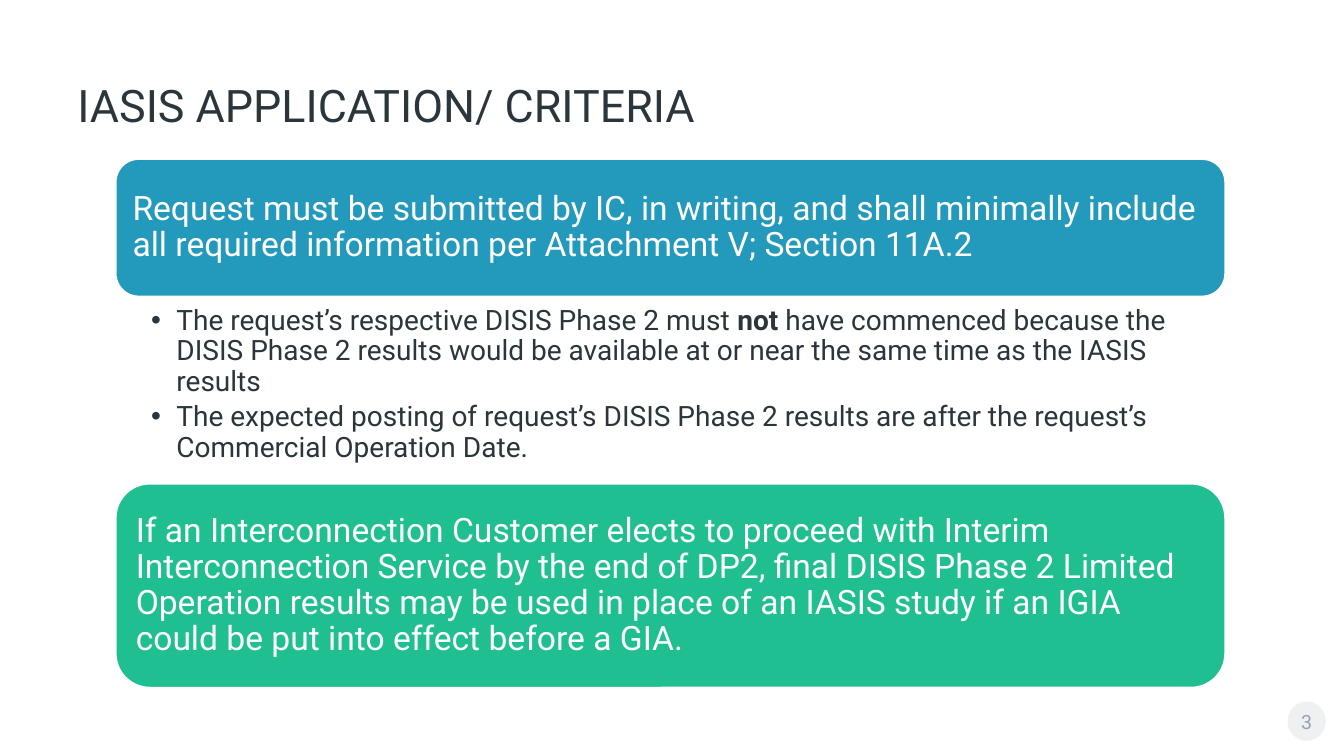
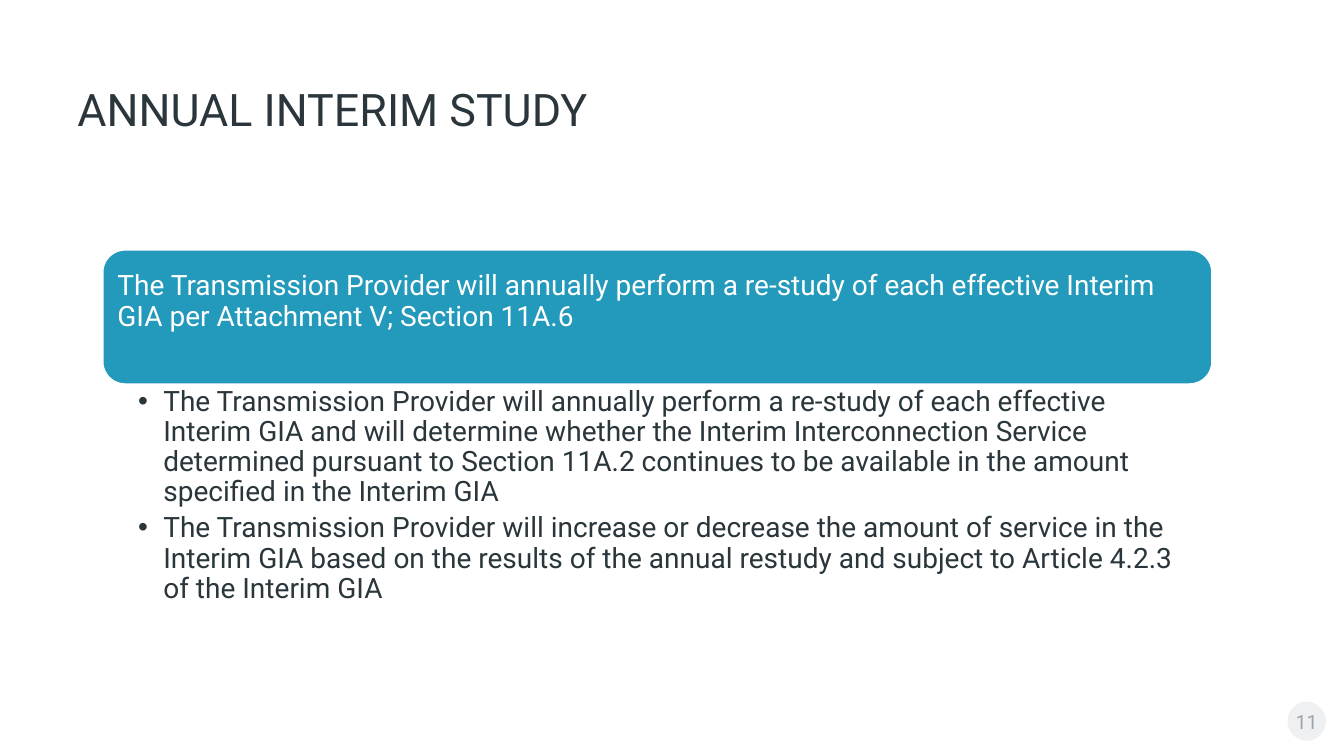
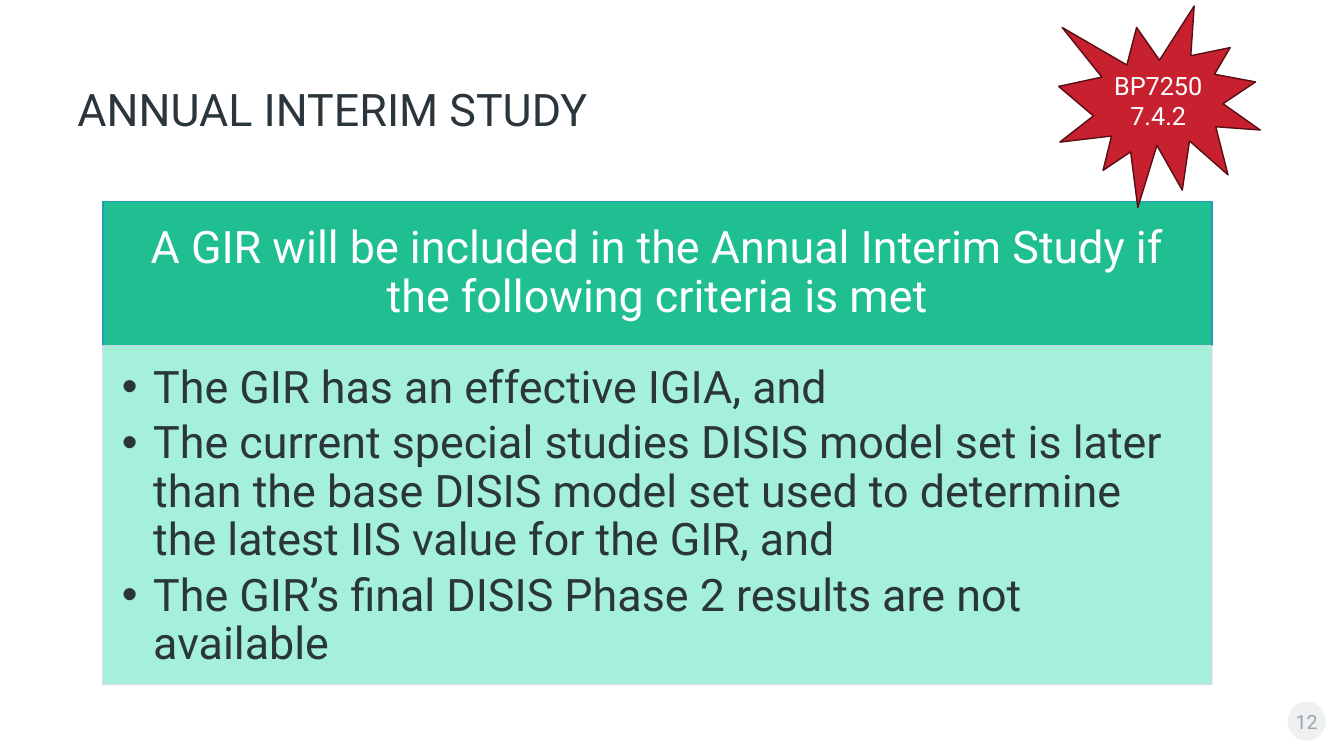
import pptx
import pptx.util
import pptx.dml.color
import pptx.enum.shapes
import pptx.enum.text
import pptx.oxml.ns
import lxml.etree

Inches = pptx.util.Inches
Pt = pptx.util.Pt
PRESET = pptx.enum.shapes.MSO_SHAPE
ALIGN = pptx.enum.text.PP_ALIGN
ANCHOR = pptx.enum.text.MSO_ANCHOR
qn = pptx.oxml.ns.qn

FONT = "Roboto"
COLORS = {
    "ink": "2A363B",
    "white": "FFFFFF",
    "blue": "2399BB",
    "green": "1FBF92",
    "mint": "9CEFD8",
    "mint_edge": "CDDEE7",
    "badge": "EEF0F1",
    "badge_text": "99A4AD",
    "red": "C7202F",
    "dark_red": "570E15",
}
PANEL_WIDTH = 11
CARD_INSETS = (0.1, 0.1, 0.1, 0.1)
LIST_INSETS = (0.35, 0.03, 0.16, 0.03)


def rgb(name):
    return pptx.dml.color.RGBColor.from_string(COLORS[name])


def set_alpha(fill_parent, percent):
    color = fill_parent.find(qn("a:solidFill"))[0]
    lxml.etree.SubElement(color, qn("a:alpha")).set("val", str(percent * 1000))


def add_bullet(paragraph, indent):
    properties = paragraph._p.get_or_add_pPr()
    properties.set("marL", str(Inches(indent)))
    properties.set("indent", str(-Inches(indent)))
    lxml.etree.SubElement(properties, qn("a:buFont")).set("typeface", "Arial")
    lxml.etree.SubElement(properties, qn("a:buChar")).set("char", "•")


def write(shape, paragraphs, size, color, insets=(0.1, 0.05, 0.1, 0.05),
          anchor=ANCHOR.MIDDLE, align=ALIGN.LEFT, spacing=0.9, after=0,
          bullet_indent=0):
    frame = shape.text_frame
    frame.word_wrap = True
    frame.vertical_anchor = anchor
    (frame.margin_left, frame.margin_top,
     frame.margin_right, frame.margin_bottom) = map(Inches, insets)
    for index, text in enumerate(paragraphs):
        paragraph = frame.add_paragraph() if index else frame.paragraphs[0]
        paragraph.alignment = align
        paragraph.line_spacing = spacing
        paragraph.space_after = Pt(after)
        if bullet_indent:
            add_bullet(paragraph, bullet_indent)
        paragraph.font.name = FONT
        paragraph.font.size = Pt(size)
        paragraph.font.color.rgb = rgb(color)
        for part, words in enumerate(text.split("**")):
            run = paragraph.add_run()
            run.text = words
            if part % 2:
                run.font.bold = True


def add_panel(slide, preset, box, fill, line=None):
    panel = slide.shapes.add_shape(preset, *map(Inches, box))
    panel.shadow.inherit = False
    panel.fill.solid()
    panel.fill.fore_color.rgb = rgb(fill)
    if line:
        panel.line.color.rgb = rgb(line)
        panel.line.width = Pt(1)
    else:
        panel.line.fill.background()
    return panel


def add_base(deck, title, number, title_height):
    slide = deck.slides.add_slide(deck.slide_layouts[6])
    badge = add_panel(slide, PRESET.OVAL, (12.77, 6.96, 0.38, 0.39), "badge")
    write(badge, [number], 14, "badge_text", (0, 0, 0, 0),
          align=ALIGN.CENTER, spacing=1.0)
    badge.text_frame.word_wrap = False
    heading = slide.shapes.add_textbox(
        *map(Inches, (0.67, 0.62, 11.97, title_height)))
    write(heading, [title], 32, "ink", spacing=0.75)
    return slide


def add_card(slide, left, top, height, fill, text, size,
             insets=CARD_INSETS, anchor=ANCHOR.MIDDLE):
    card = add_panel(slide, PRESET.ROUNDED_RECTANGLE,
                     (left, top, PANEL_WIDTH, height), fill, "white")
    write(card, [text], size, "white", insets, anchor)


def add_details(slide, left, top, height, points):
    details = slide.shapes.add_textbox(
        *map(Inches, (left, top, PANEL_WIDTH, height)))
    write(details, points, 20, "ink", LIST_INSETS, ANCHOR.TOP,
          after=4, bullet_indent=0.25)


def build_application(deck):
    slide = add_base(deck, "IASIS APPLICATION/ CRITERIA", "3", 0.96)
    left = 1.15
    add_card(slide, left, 1.58, 1.36, "blue",
             "Request must be submitted by IC, in writing, and shall minimally "
             "include all required information per Attachment V; Section 11A.2",
             24)
    add_details(slide, left, 3.01, 1.79, [
        "The request’s respective DISIS Phase 2 must **not** have commenced "
        "because the DISIS Phase 2 results would be available at or near the "
        "same time as the IASIS results",
        "The expected posting of request’s DISIS Phase 2 results are after "
        "the request’s Commercial Operation Date.",
    ])
    add_card(slide, left, 4.8, 2.02, "green",
             "If an Interconnection Customer elects to proceed with Interim "
             "Interconnection Service by the end of DP2, final DISIS Phase 2 "
             "Limited Operation results may be used in place of an IASIS study "
             "if an IGIA could be put into effect before a GIA.", 24)


def build_restudy(deck):
    slide = add_base(deck, "ANNUAL INTERIM STUDY", "11", 1.03)
    left = 1.02
    add_card(slide, left, 2.48, 1.33, "blue",
             "The Transmission Provider will annually perform a re-study of "
             "each effective Interim GIA per Attachment V; Section 11A.6",
             20, (0.08, 0.15, 0.08, 0.08), ANCHOR.TOP)
    add_details(slide, left, 3.81, 2.5, [
        "The Transmission Provider will annually perform a re-study of each "
        "effective Interim GIA and will determine whether the Interim "
        "Interconnection Service determined pursuant to Section 11A.2 "
        "continues to be available in the amount specified in the Interim GIA",
        "The Transmission Provider will increase or decrease the amount of "
        "service in the Interim GIA based on the results of the annual "
        "restudy and subject to Article 4.2.3 of the Interim GIA",
    ])


def build_inclusion(deck):
    slide = add_base(deck, "ANNUAL INTERIM STUDY", "12", 1.03)
    left = 1.02
    rule = add_panel(slide, PRESET.RECTANGLE, (left, 2, PANEL_WIDTH, 1.43),
                     "green", "blue")
    write(rule, ["A GIR will be included in the Annual Interim Study if the "
                 "following criteria is met"],
          32, "white", (0.25, 0.14, 0.25, 0.14), align=ALIGN.CENTER)
    criteria = add_panel(slide, PRESET.RECTANGLE,
                         (left, 3.43, PANEL_WIDTH, 3.36), "mint", "mint_edge")
    set_alpha(criteria._element.spPr, 90)
    set_alpha(criteria._element.spPr.find(qn("a:ln")), 90)
    write(criteria, [
        "The GIR has an effective IGIA, and",
        "The current special studies DISIS model set is later than the base "
        "DISIS model set used to determine the latest IIS value for the GIR, "
        "and",
        "The GIR’s final DISIS Phase 2 results are not available",
    ], 32, "ink", (0.19, 0.19, 0.25, 0.28), ANCHOR.TOP,
        after=5, bullet_indent=0.31)
    practice = add_panel(slide, PRESET.EXPLOSION1, (10.5, 0.06, 2, 2),
                         "red", "dark_red")
    write(practice, ["BP7250 7.4.2"], 18, "white",
          align=ALIGN.CENTER, spacing=1.0)


def main():
    deck = pptx.Presentation()
    deck.slide_width = Inches(13.33)
    deck.slide_height = Inches(7.5)
    build_application(deck)
    build_restudy(deck)
    build_inclusion(deck)
    deck.save("out.pptx")


if __name__ == "__main__":
    main()
